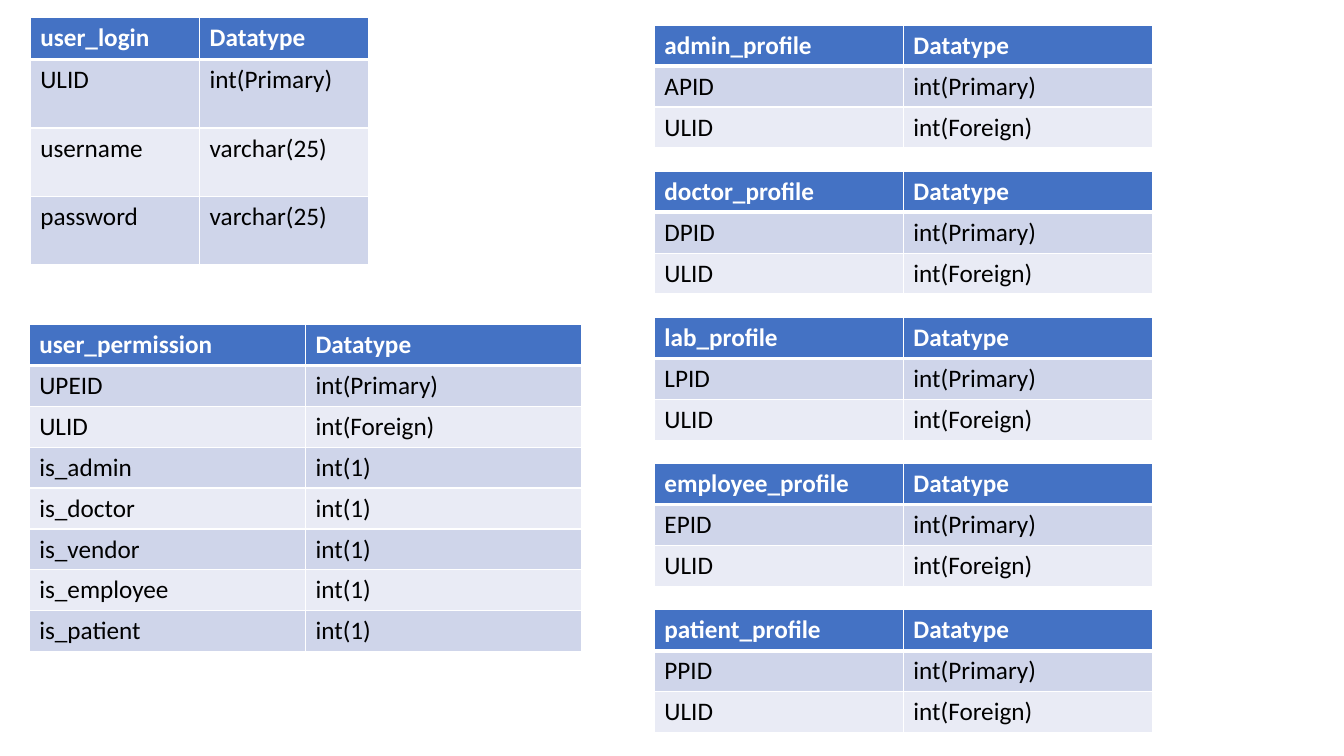
import pptx
import pptx.util
import pptx.dml.color
import pptx.oxml
import pptx.oxml.ns
from dataclasses import dataclass

Inches = pptx.util.Inches
RGB = pptx.dml.color.RGBColor.from_string


@dataclass(frozen=True)
class Theme:
    font: str = "Calibri"
    size: int = 18
    header: str = "4472C4"
    bands: tuple = ("CFD5EA", "E9EBF5")
    header_text: str = "FFFFFF"
    body_text: str = "000000"
    border: str = "FFFFFF"
    thin: int = 1
    thick: int = 3


theme = Theme()


def add_border(cell, side, width):
    cell._tc.get_or_add_tcPr().append(pptx.oxml.parse_xml(
        f'<a:{side} {pptx.oxml.ns.nsdecls("a")} w="{pptx.util.Pt(width)}">'
        f'<a:solidFill><a:srgbClr val="{theme.border}"/></a:solidFill></a:{side}>'))


def add_schema(s, name, fields, left, top, col_width, header_height, row_height):
    rows = [(name, "Datatype")] + fields
    height = header_height + row_height * len(fields)
    table = s.shapes.add_table(len(rows), 2, Inches(left), Inches(top),
                               Inches(2 * col_width), Inches(height)).table
    for column in table.columns:
        column.width = Inches(col_width)
    for i, row in enumerate(rows):
        is_header = i == 0
        table.rows[i].height = Inches(header_height if is_header else row_height)
        for j, text in enumerate(row):
            cell = table.cell(i, j)
            add_border(cell, "lnL", theme.thin)
            add_border(cell, "lnR", theme.thin)
            add_border(cell, "lnT", theme.thick if i == 1 else theme.thin)
            add_border(cell, "lnB", theme.thick if is_header else theme.thin)
            cell.fill.solid()
            cell.fill.fore_color.rgb = RGB(theme.header if is_header else theme.bands[(i - 1) % 2])
            cell.text = text
            font = cell.text_frame.paragraphs[0].font
            font.name = theme.font
            font.size = pptx.util.Pt(theme.size)
            font.bold = is_header
            font.color.rgb = RGB(theme.header_text if is_header else theme.body_text)


prs = pptx.Presentation()
prs.slide_width = Inches(13.33)
prs.slide_height = Inches(7.5)
s = prs.slides.add_slide(prs.slide_layouts[6])

primary, foreign = "int(Primary)", "int(Foreign)"
roles = ["admin", "doctor", "vendor", "employee", "patient"]
permissions = [("UPEID", primary), ("ULID", foreign)] + [(f"is_{role}", "int(1)") for role in roles]
add_schema(s, "user_permission", permissions, 0.29, 3.22, 2.74, 0.4, 0.4)

for i, owner in enumerate(["admin", "doctor", "lab", "employee", "patient"]):
    fields = [(f"{owner[0].upper()}PID", primary), ("ULID", foreign)]
    add_schema(s, f"{owner}_profile", fields, 6.49, 0.25 + 1.45 * i, 2.47, 0.4, 0.4)

logins = [("ULID", primary), ("username", "varchar(25)"), ("password", "varchar(25)")]
add_schema(s, "user_login", logins, 0.3, 0.17, 1.68, 0.42, 0.68)

prs.save("out.pptx")
